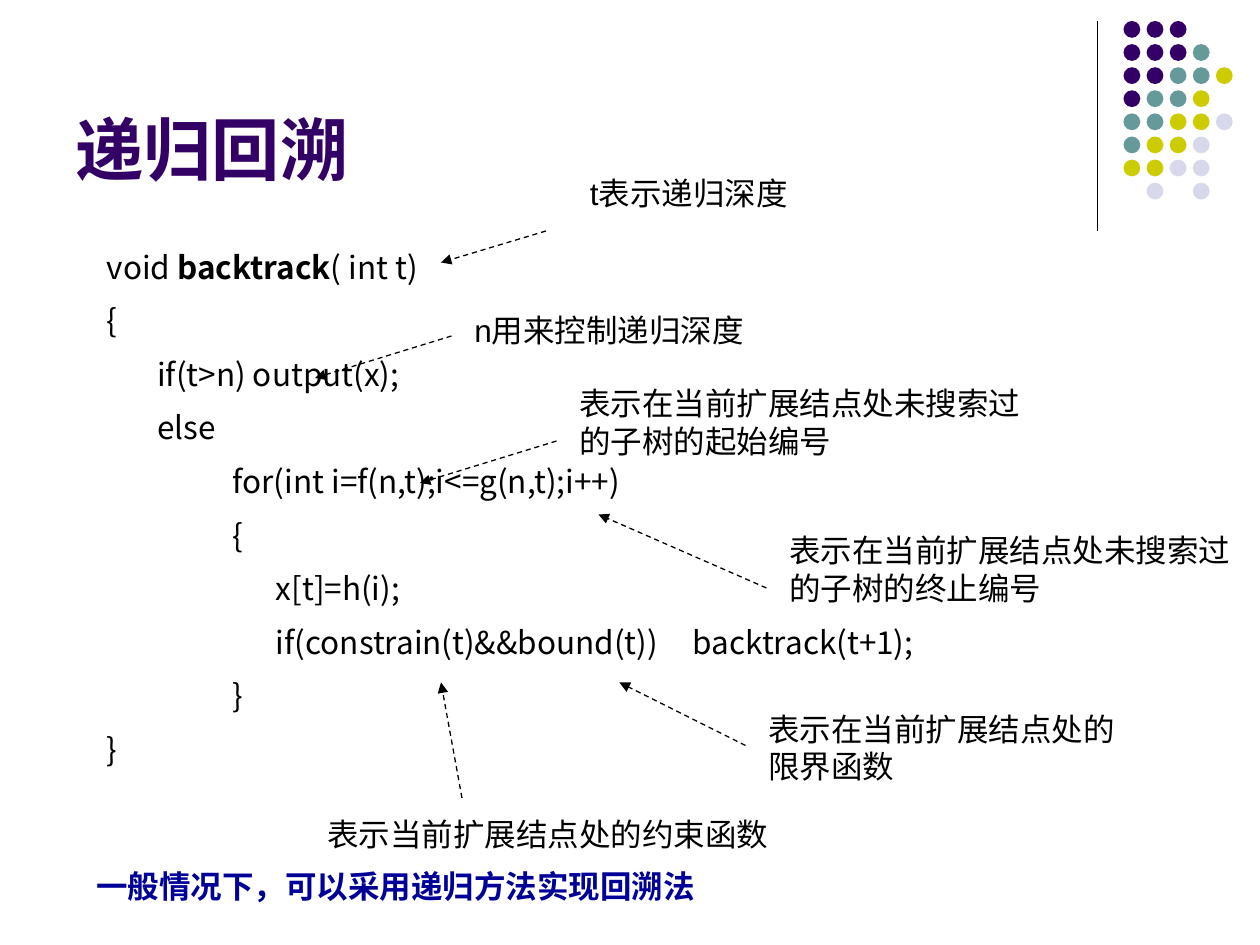
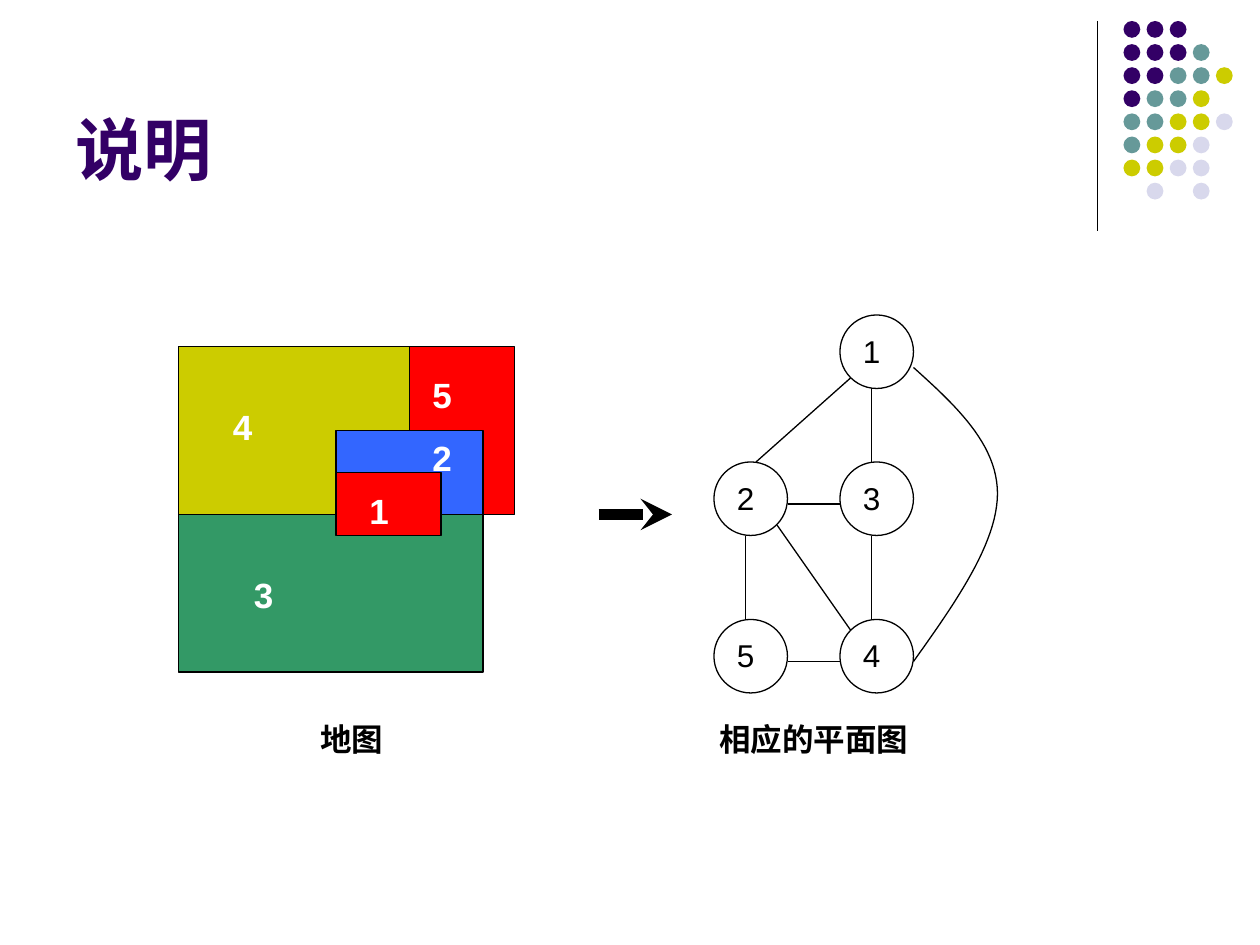
from lxml import etree
from pptx import Presentation
from pptx.dml.color import RGBColor
from pptx.enum import dml, shapes, text
from pptx.oxml.ns import qn
from pptx.util import Emu, Pt

PX = 7620
WIDTH, HEIGHT = 1200, 900
BLACK, WHITE, NAVY = "000000", "FFFFFF", "000099"
PURPLE, TEAL, OLIVE, MIST = "330066", "669999", "CCCC00", "D8D8EC"
RED, BLUE, GREEN = "FF0000", "3366FF", "339966"
HEAD_FONT, CODE_FONT = "Arial", "Noto Sans CJK SC"

DOT_COLOURS = {"p": PURPLE, "t": TEAL, "o": OLIVE, "m": MIST}
DOT_ROWS = ["ppp", "pppt", "pptto", "ptto", "ttoom", "toom", "oomm", ".m.m"]

CODE_TABS = [48, 120, 161, 558]
CODE_LINES = [
    (0, [("void ", False), ("backtrack", True), ("( int t)", False)]),
    (0, [("{", False)]),
    (1, [("if(t>n) output(x);", False)]),
    (1, [("else", False)]),
    (2, [("for(int i=f(n,t);i<=g(n,t);i++)", False)]),
    (2, [("{", False)]),
    (3, [("x[t]=h(i);", False)]),
    (3, [("if(constrain(t)&&bound(t))\tbacktrack(t+1);", False)]),
    (2, [("}", False)]),
    (0, [("}", False)]),
]

CALLOUTS = [
    ("t表示递归深度", (550, 160, 230, 48), (520, 220), (420, 250)),
    ("n用来控制递归深度", (440, 290, 290, 48), (430, 320), (300, 360)),
    ("表示在当前扩展结点处未搜索过的子树的起始编号", (540, 360, 460, 84), (530, 420), (400, 460)),
    ("表示在当前扩展结点处的限界函数", (720, 670, 360, 84), (710, 710), (590, 650)),
    ("表示当前扩展结点处的约束函数", (300, 770, 460, 48), (440, 760), (420, 650)),
    ("表示在当前扩展结点处未搜索过的子树的终止编号", (740, 500, 460, 84), (730, 560), (570, 490)),
]

REGIONS = [
    ("4", OLIVE, (0, 0, 220, 160), (40, 50)),
    ("5", RED, (220, 0, 100, 160), (230, 20)),
    ("2", BLUE, (150, 80, 140, 80), (230, 80)),
    ("3", GREEN, (0, 160, 290, 150), (60, 210)),
    ("1", RED, (150, 120, 100, 60), (170, 130)),
]

NODES = {"5": (0, 290), "1": (120, 0), "2": (0, 140), "3": (120, 140), "4": (120, 290)}
EDGES = [
    ((130, 60), (40, 140)),
    ((30, 210), (30, 290)),
    ((150, 210), (150, 290)),
    ((150, 70), (150, 140)),
    ((70, 180), (120, 180)),
    ((70, 330), (120, 330)),
    ((60, 200), (130, 300)),
]
OUTER_EDGE = [
    [(190, 330), (230, 274), (270, 217), (270, 170)],
    [(270, 170), (270, 123), (230, 86), (190, 50)],
]


def px(*lengths):
    return [Emu(round(length * PX)) for length in lengths]


def colour(value):
    return RGBColor.from_string(value)


def shift(origin, point):
    return origin[0] + point[0], origin[1] + point[1]


def add_box(page, box, anchor=text.MSO_ANCHOR.TOP):
    frame = page.shapes.add_textbox(*px(*box)).text_frame
    frame.word_wrap = True
    frame.vertical_anchor = anchor
    return frame


def style(para, size, fill=BLACK, bold=None, font=HEAD_FONT):
    para.font.size = Pt(size)
    para.font.name = font
    para.font.bold = bold
    para.font.color.rgb = colour(fill)


def space_before(para):
    spacing = etree.Element(qn("a:spcBef"))
    etree.SubElement(spacing, qn("a:spcPct"), val="50000")
    para._p.get_or_add_pPr().insert(0, spacing)


def add_tabs(para, stops):
    tabs = etree.SubElement(para._p.get_or_add_pPr(), qn("a:tabLst"))
    for stop in stops:
        etree.SubElement(tabs, qn("a:tab"), pos=str(stop * PX), algn="l")


def add_label(page, box, words, size=18, fill=BLACK, bold=None, align=text.PP_ALIGN.LEFT):
    frame = add_box(page, box)
    frame.auto_size = text.MSO_AUTO_SIZE.SHAPE_TO_FIT_TEXT
    para = frame.paragraphs[0]
    para.text = words
    para.alignment = align
    space_before(para)
    style(para, size, fill, bold)


def add_line(page, start, end, width=0.75, dashed=False, head=None):
    line = page.shapes.add_connector(shapes.MSO_CONNECTOR.STRAIGHT, *px(*start, *end))
    line.line.color.rgb = colour(BLACK)
    line.line.width = Pt(width)
    if dashed:
        line.line.dash_style = dml.MSO_LINE.DASH
    properties = line._element.spPr
    if head:
        etree.SubElement(properties.find(qn("a:ln")), qn("a:tailEnd"), type=head)
    etree.SubElement(properties, qn("a:effectLst"))


def add_figure(page, kind, box, fill=None, outlined=True):
    figure = page.shapes.add_shape(kind, *px(*box))
    finish_figure(figure, fill, outlined)


def finish_figure(figure, fill, outlined):
    figure.shadow.inherit = False
    if fill:
        figure.fill.solid()
        figure.fill.fore_color.rgb = colour(fill)
    else:
        figure.fill.background()
    if outlined:
        figure.line.color.rgb = colour(BLACK)
        figure.line.width = Pt(0.75)
    else:
        figure.line.fill.background()


def draw_dots(page, origin, pitch=22, size=16):
    for row, marks in enumerate(DOT_ROWS):
        for column, mark in enumerate(marks):
            if mark in DOT_COLOURS:
                left, top = shift(origin, (column * pitch, row * pitch))
                add_figure(page, shapes.MSO_SHAPE.OVAL, (left, top, size, size),
                           DOT_COLOURS[mark], outlined=False)


def add_page(deck, title):
    page = deck.slides.add_slide(deck.slide_layouts[6])
    add_line(page, (1045, 20), (1045, 220))
    draw_dots(page, (1070, 20))
    para = add_box(page, (60, 16, 990, 170), text.MSO_ANCHOR.BOTTOM).paragraphs[0]
    para.text = title
    style(para, 39, PURPLE, True)
    return page


def draw_code(page, box):
    frame = add_box(page, box)
    for index, (level, spans) in enumerate(CODE_LINES):
        para = frame.add_paragraph() if index else frame.paragraphs[0]
        space_before(para)
        add_tabs(para, CODE_TABS)
        style(para, 18, font=CODE_FONT)
        for position, (words, bold) in enumerate(spans):
            span = para.add_run()
            span.text = words if position else "\t" * level + words
            if bold:
                span.font.bold = True


def draw_callouts(page):
    for words, box, start, end in CALLOUTS:
        add_line(page, start, end, dashed=True, head="triangle")
        add_label(page, box, words)


def draw_map(page, origin):
    for _, fill, (left, top, width, height), _ in REGIONS:
        add_figure(page, shapes.MSO_SHAPE.RECTANGLE,
                   (*shift(origin, (left, top)), width, height), fill)
    for number, _, _, place in REGIONS:
        add_label(page, (*shift(origin, place), 50, 52), number, 20, WHITE, True)


def curve_points(controls, steps=24):
    for step in range(1, steps + 1):
        t = step / steps
        weights = [(1 - t) ** 3, 3 * t * (1 - t) ** 2, 3 * t * t * (1 - t), t ** 3]
        yield tuple(sum(w * point[axis] for w, point in zip(weights, controls))
                    for axis in (0, 1))


def draw_graph(page, origin):
    for number, place in NODES.items():
        left, top = shift(origin, place)
        add_figure(page, shapes.MSO_SHAPE.OVAL, (left, top, 70, 70))
        add_label(page, (left + 10, top + 10, 50, 48), number)
    for start, end in EDGES:
        add_line(page, shift(origin, start), shift(origin, end))
    outline = page.shapes.build_freeform(*px(*shift(origin, OUTER_EDGE[0][0])))
    points = [px(*shift(origin, point)) for part in OUTER_EDGE for point in curve_points(part)]
    outline.add_line_segments(points, close=False)
    finish_figure(outline.convert_to_shape(), None, True)


def build_backtrack(deck):
    page = add_page(deck, "递归回溯")
    draw_code(page, (90, 230, 840, 571))
    draw_callouts(page)
    add_label(page, (80, 820, 890, 48), "一般情况下，可以采用递归方法实现回溯法", fill=NAVY, bold=True)


def build_colouring(deck):
    page = add_page(deck, "说明")
    draw_map(page, (170, 330))
    draw_graph(page, (680, 300))
    add_line(page, (570, 490), (640, 490), width=6, head="stealth")
    for left, words in ((230, "地图"), (670, "相应的平面图")):
        add_label(page, (left, 680, 210, 48), words, bold=True, align=text.PP_ALIGN.CENTER)


def main():
    deck = Presentation()
    deck.slide_width, deck.slide_height = px(WIDTH, HEIGHT)
    build_backtrack(deck)
    build_colouring(deck)
    deck.save("out.pptx")


if __name__ == "__main__":
    main()
